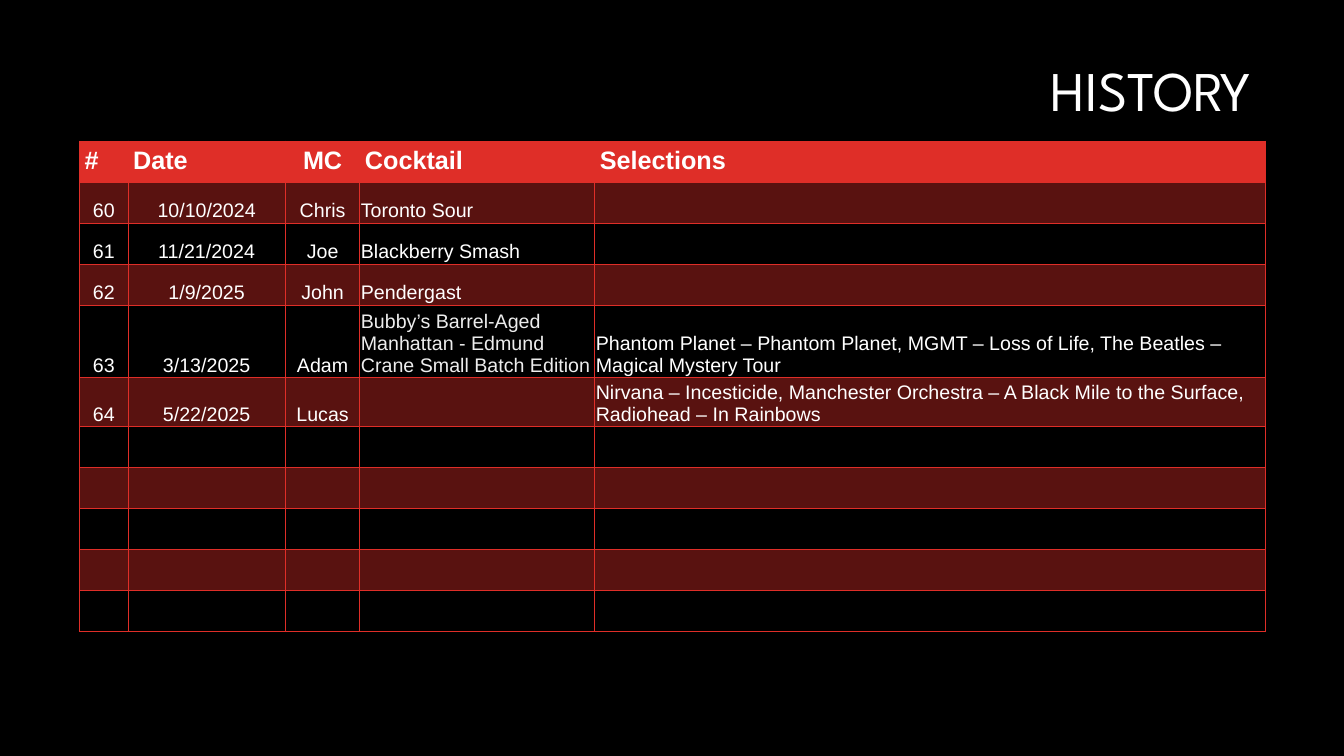
import pptx
import pptx.util
import pptx.dml.color
import pptx.enum.text
import pptx.oxml
import pptx.oxml.ns
from lxml import etree

Inches = pptx.util.Inches
Pt = pptx.util.Pt
RGBColor = pptx.dml.color.RGBColor
ALIGN = pptx.enum.text.PP_ALIGN
ANCHOR = pptx.enum.text.MSO_ANCHOR
qn = pptx.oxml.ns.qn

BLACK = RGBColor(0x00, 0x00, 0x00)
WHITE = RGBColor(0xFF, 0xFF, 0xFF)
PALE = RGBColor(0xED, 0xED, 0xED)
RED = RGBColor(0xDF, 0x2E, 0x28)

COLS = [0.48, 1.56, 0.74, 2.33, 6.65]
ROW_HEIGHT = 0.407
TALL_ROWS = {4: 0.67, 5: 0.46}
ROW_COUNT = 11
HEADER = ["#", "Date", "MC", "Cocktail", "Selections"]
MEETINGS = [
    ["60", "10/10/2024", "Chris", "Toronto Sour", ""],
    ["61", "11/21/2024", "Joe", "Blackberry Smash", ""],
    ["62", "1/9/2025", "John", "Pendergast", ""],
    ["63", "3/13/2025", "Adam",
     "Bubby’s Barrel-Aged Manhattan - Edmund Crane Small Batch Edition",
     "Phantom Planet – Phantom Planet, MGMT – Loss of Life, "
     "The Beatles – Magical Mystery Tour"],
    ["64", "5/22/2025", "Lucas", "",
     "Nirvana – Incesticide, Manchester Orchestra – A Black Mile to the Surface, "
     "Radiohead – In Rainbows"],
]


class Deck:
    title_font = "League Spartan"
    body_font = "Arial"

    def __init__(self):
        self.prs = pptx.Presentation()
        self.prs.slide_width = Inches(13.33)
        self.prs.slide_height = Inches(7.5)
        self.s = self.prs.slides.add_slide(self.prs.slide_layouts[6])
        self.s.background.fill.solid()
        self.s.background.fill.fore_color.rgb = BLACK

    def style(self, p, font, size, color, bold, align):
        p.alignment = align
        for target in [p, *p.runs]:
            target.font.name = font
            target.font.size = Pt(size)
            target.font.bold = bold
            target.font.color.rgb = color

    def title(self, text, x, y, w, h):
        tf = self.s.shapes.add_textbox(Inches(x), Inches(y), Inches(w), Inches(h)).text_frame
        tf.word_wrap = True
        tf.vertical_anchor = ANCHOR.BOTTOM
        tf.margin_left = tf.margin_right = tf.margin_top = tf.margin_bottom = Inches(0.05)
        tf.text = text
        p = tf.paragraphs[0]
        p.line_spacing = 0.9
        self.style(p, self.title_font, 40, WHITE, False, ALIGN.RIGHT)

    def borders(self, cell):
        tcPr = cell._tc.get_or_add_tcPr()
        for side in ("a:lnL", "a:lnR", "a:lnT", "a:lnB"):
            ln = etree.SubElement(tcPr, qn(side), w=str(Pt(0.75)))
            fill = etree.SubElement(ln, qn("a:solidFill"))
            etree.SubElement(fill, qn("a:srgbClr"), val=str(RED))

    def fill(self, cell, alpha):
        if not alpha:
            cell.fill.background()
            return
        cell.fill.solid()
        cell.fill.fore_color.rgb = RED
        if alpha < 100:
            color = cell._tc.tcPr.find(qn("a:solidFill")).find(qn("a:srgbClr"))
            etree.SubElement(color, qn("a:alpha"), val=str(alpha * 1000))

    def cell(self, cell, text, margin, anchor, alpha, size, color, bold, align):
        cell.margin_left = cell.margin_right = Inches(margin)
        cell.margin_top = cell.margin_bottom = Inches(margin)
        cell.vertical_anchor = anchor
        self.borders(cell)
        self.fill(cell, alpha)
        cell.text_frame.text = text
        self.style(cell.text_frame.paragraphs[0], self.body_font, size, color, bold, align)

    def history(self, x, y):
        heights = [TALL_ROWS.get(i, ROW_HEIGHT) for i in range(ROW_COUNT)]
        table = self.s.shapes.add_table(
            ROW_COUNT, len(COLS), Inches(x), Inches(y),
            Inches(sum(COLS)), Inches(sum(heights))).table
        table.horz_banding = False
        for column, width in zip(table.columns, COLS):
            column.width = Inches(width)
        for row, height in zip(table.rows, heights):
            row.height = Inches(height)
        for c, text in enumerate(HEADER):
            align = ALIGN.CENTER if text == "MC" else ALIGN.LEFT
            self.cell(table.cell(0, c), text, 0.05, ANCHOR.TOP, 100, 18, WHITE, True, align)
        blank = [[""] * len(COLS)] * (ROW_COUNT - 1 - len(MEETINGS))
        for i, row in enumerate(MEETINGS + blank, 1):
            for c, text in enumerate(row):
                align = ALIGN.CENTER if c < 3 else ALIGN.LEFT
                color = PALE if text.startswith("Bubby") else WHITE
                self.cell(table.cell(i, c), text, 0.01, ANCHOR.BOTTOM,
                          40 if i % 2 else 0, 14, color, False, align)


def main():
    deck = Deck()
    deck.title("HISTORY", 3.04, 0.26, 9.42, 1.02)
    deck.history(0.79, 1.4)
    deck.prs.save("out.pptx")


if __name__ == "__main__":
    main()
